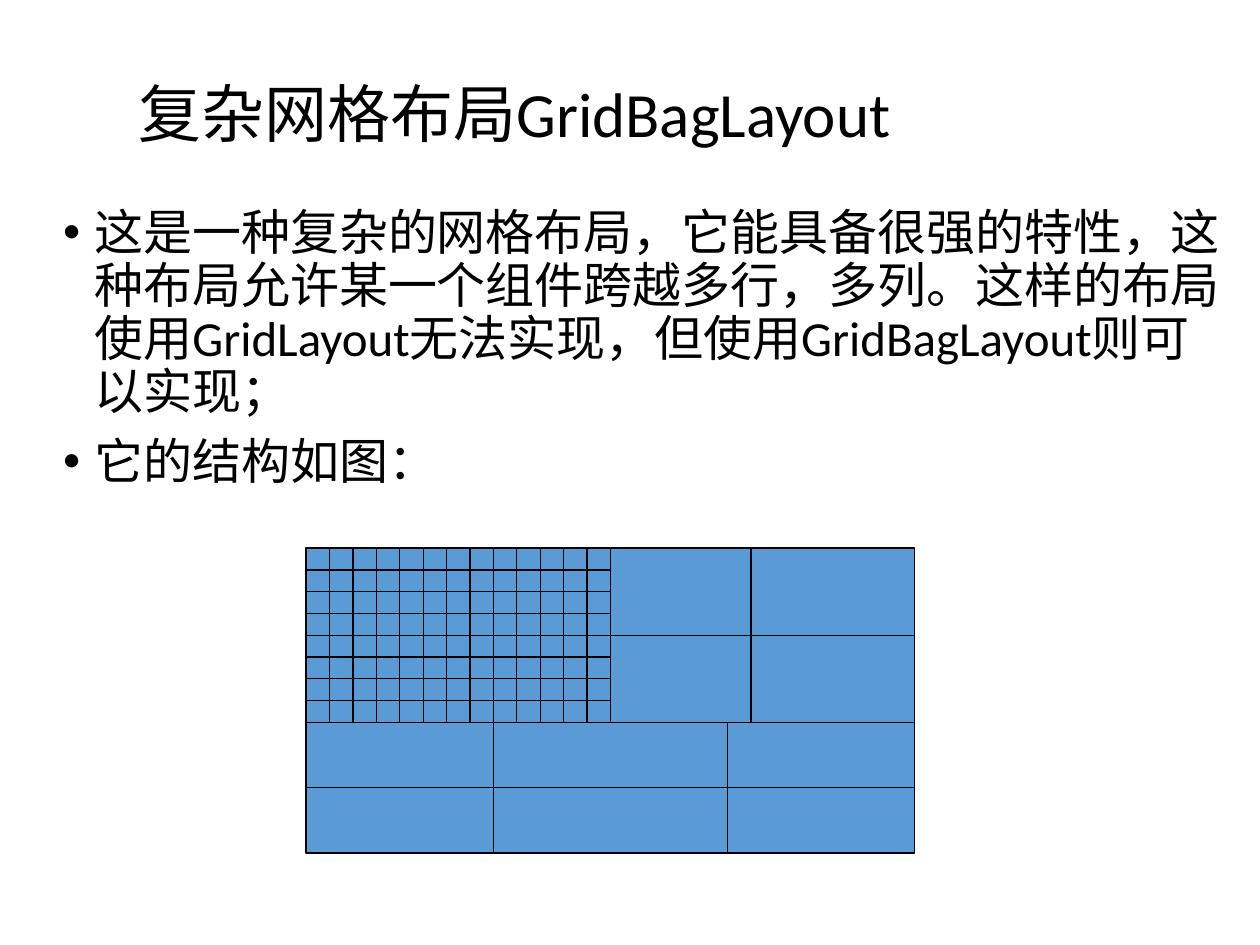
import pptx
import pptx.dml.color
import pptx.enum.shapes
import pptx.enum.text
import pptx.oxml
import pptx.oxml.ns
import pptx.util

BLACK = pptx.dml.color.RGBColor(0x00, 0x00, 0x00)
BLUE = pptx.dml.color.RGBColor(0x5B, 0x9B, 0xD5)
WHITE = pptx.dml.color.RGBColor(0xFF, 0xFF, 0xFF)
ANCHOR = pptx.enum.text.MSO_ANCHOR
LEFT = pptx.enum.text.PP_ALIGN.LEFT
COLS, ROWS = 26, 14


class GridSlide:
    """Slide whose diagram is measured in columns and rows of a fine grid."""

    font = "Calibri"
    line_width = pptx.util.Pt(0.75)
    left, top = pptx.util.Inches(2.43), pptx.util.Inches(4.35)
    width, height = pptx.util.Inches(4.83), pptx.util.Inches(2.42)

    def __init__(self, prs):
        self.prs = prs
        self.s = prs.slides.add_slide(prs.slide_layouts[1])
        self.s.background.fill.solid()
        self.s.background.fill.fore_color.rgb = WHITE
        self.group = self.s.shapes.add_group_shape()

    def point(self, col, row):
        return (self.left + round(self.width * col / COLS),
                self.top + round(self.height * row / ROWS))

    def fill_text(self, sp, box, lines, size, frame, bullet=False):
        """Place a placeholder by shares of the slide and write its paragraphs."""
        w, h = self.prs.slide_width, self.prs.slide_height
        sp.left, sp.top, sp.width, sp.height = (
            round(share * side) for share, side in zip(box, (w, h, w, h)))
        tf = sp.text_frame
        for name, value in frame.items():
            setattr(tf, name, value)
        for i, line in enumerate(lines):
            p = tf.paragraphs[0] if i == 0 else tf.add_paragraph()
            if bullet:
                self.add_bullet(p)
            p.alignment = LEFT
            p.line_spacing = 0.9
            p.space_before = pptx.util.Pt(10 if i else 0)
            r = p.add_run()
            r.text = line
            style = {"name": self.font, "size": pptx.util.Pt(size)}
            for name, value in style.items():
                setattr(r.font, name, value)
            r.font.color.rgb = BLACK

    def add_bullet(self, p):
        pPr = p._p.get_or_add_pPr()
        indent = pptx.util.Inches(0.25)
        pPr.set("marL", str(indent))
        pPr.set("indent", str(-indent))
        for tag, key, value in (("buFont", "typeface", "Arial"),
                                ("buChar", "char", "•")):
            el = pptx.oxml.parse_xml(
                f'<a:{tag} {pptx.oxml.ns.nsdecls("a")}/>')
            el.set(key, value)
            pPr.append(el)

    def panel(self):
        sp = self.group.shapes.add_shape(
            pptx.enum.shapes.MSO_SHAPE.RECTANGLE,
            self.left, self.top, self.width, self.height)
        sp.shadow.inherit = False
        sp.fill.solid()
        sp.fill.fore_color.rgb = BLUE
        sp.line.color.rgb = BLACK
        sp.line.width = self.line_width
        return sp

    def line(self, start, end):
        cxn = self.group.shapes.add_connector(
            pptx.enum.shapes.MSO_CONNECTOR.STRAIGHT,
            *self.point(*start), *self.point(*end))
        cxn.line.color.rgb = BLACK
        cxn.line.width = self.line_width
        cxn._element.spPr.append(pptx.oxml.parse_xml(
            f'<a:effectLst {pptx.oxml.ns.nsdecls("a")}/>'))
        return cxn


def draw_diagram(slide):
    mid_col, split_row = 13, 8
    panel = slide.panel()
    for row in (split_row, 11):
        slide.line((0, row), (COLS, row))
    for col in (8, 18):
        slide.line((col, split_row), (col, ROWS))
    slide.line((mid_col, split_row), (mid_col, 0)).end_connect(panel, 0)
    slide.line((mid_col, 4), (COLS, 4))
    slide.line((19, 0), (19, split_row))
    for row in range(1, split_row):
        slide.line((0, row), (mid_col, row))
    for col in range(1, mid_col):
        slide.line((col, 0), (col, split_row))


def main():
    prs = pptx.Presentation()
    prs.slide_width = pptx.util.Inches(10)
    prs.slide_height = pptx.util.Inches(7.5)
    slide = GridSlide(prs)
    frame = {"margin_left": 0, "margin_right": 0, "margin_top": 0,
             "margin_bottom": 0, "word_wrap": True,
             "auto_size": pptx.enum.text.MSO_AUTO_SIZE.NONE,
             "vertical_anchor": ANCHOR.TOP}
    title_frame = {**frame, "margin_top": pptx.util.Inches(0.05),
                   "vertical_anchor": ANCHOR.BOTTOM}
    title, body = slide.s.placeholders
    slide.fill_text(title, (0.11, 0.08, 0.75, 0.08),
                    ["复杂网格布局GridBagLayout"], 36, title_frame)
    slide.fill_text(body, (0.05, 0.22, 0.93, 0.34), [
        "这是一种复杂的网格布局，它能具备很强的特性，这种布局允许某一个组件跨越多行，"
        "多列。这样的布局使用GridLayout无法实现，但使用GridBagLayout则可以实现；",
        "它的结构如图：",
    ], 28, frame, bullet=True)
    draw_diagram(slide)
    prs.save("out.pptx")


if __name__ == "__main__":
    main()
